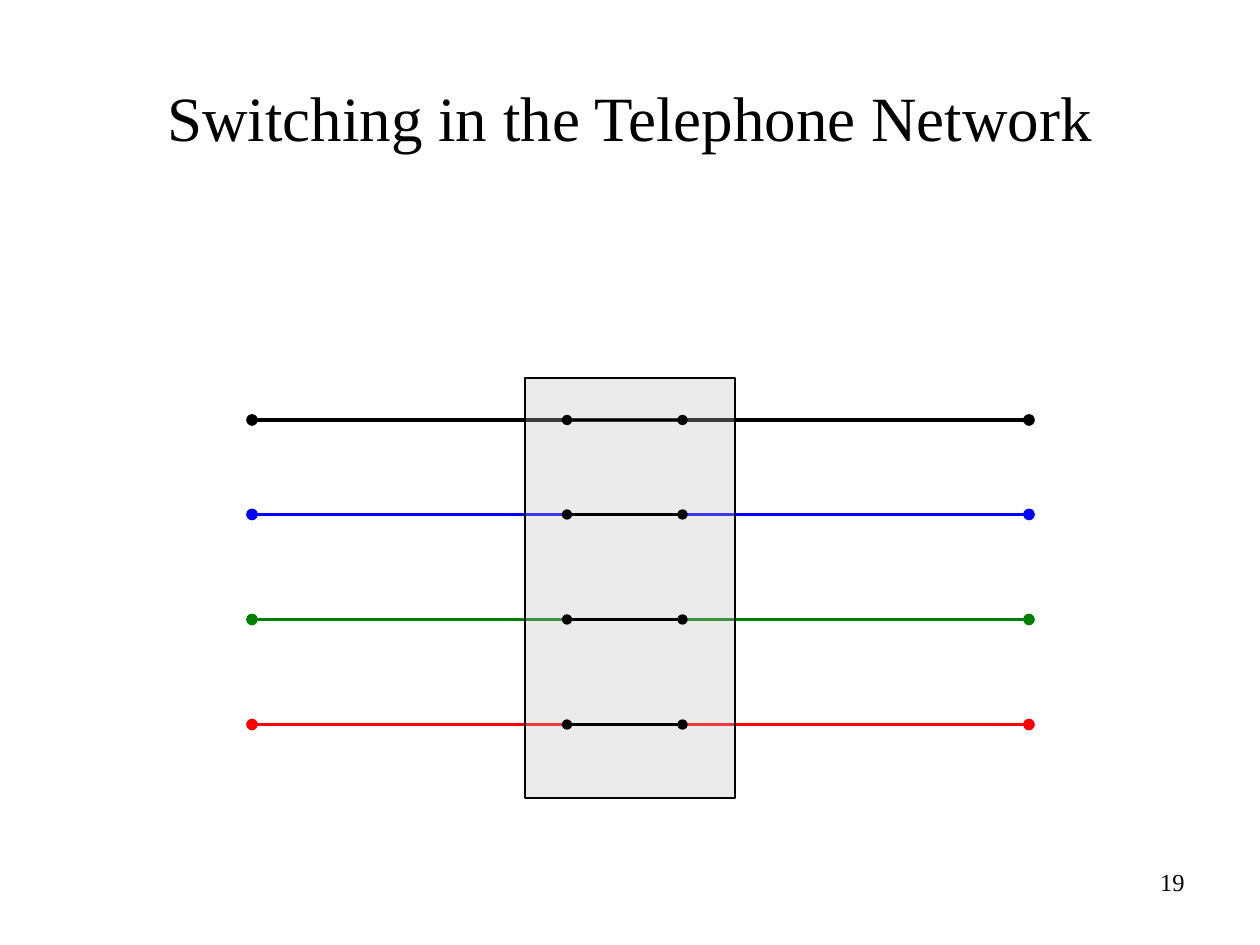
from pptx import Presentation
from pptx.dml.color import RGBColor
from pptx.enum.shapes import MSO_CONNECTOR as Link, MSO_SHAPE as Form
from pptx.enum.text import MSO_ANCHOR as Anchor, PP_ALIGN as Align
from pptx.oxml.ns import qn
from pptx.util import Inches, Pt
from lxml.etree import SubElement as Sub

BLACK = RGBColor(0x00, 0x00, 0x00)
BLUE = RGBColor(0x00, 0x00, 0xFF)
GREEN = RGBColor(0x00, 0x80, 0x00)
RED = RGBColor(0xFF, 0x00, 0x00)
GRAY = RGBColor(0xC0, 0xC0, 0xC0)


class Deck:
    font = "Times New Roman"
    cols, rows = 120, 90

    def __init__(self):
        self.prs = Presentation()
        self.prs.slide_width = Inches(10)
        self.prs.slide_height = Inches(7.5)
        self.slide = self.prs.slides.add_slide(self.prs.slide_layouts[6])

    def x(self, col):
        return round(self.prs.slide_width * col / self.cols)

    def y(self, row):
        return round(self.prs.slide_height * row / self.rows)

    def area(self, col, row, wide, high):
        return self.x(col), self.y(row), self.x(wide), self.y(high)

    def text(self, words, area, size, align, anchor=Anchor.TOP):
        frame = self.slide.shapes.add_textbox(*self.area(*area)).text_frame
        frame.word_wrap = True
        frame.vertical_anchor = anchor
        frame.text = words
        par = frame.paragraphs[0]
        par.alignment = align
        font = par.runs[0].font
        font.name = self.font
        font.size = Pt(size)
        font.color.rgb = BLACK

    def wire(self, start, end, row, color, width):
        wire = self.slide.shapes.add_connector(
            Link.STRAIGHT, self.x(start), self.y(row), self.x(end), self.y(row))
        wire.line.color.rgb = color
        wire.line.width = Pt(width)
        line = wire.line._get_or_add_ln()
        for tip in ("a:headEnd", "a:tailEnd"):
            Sub(line, qn(tip), type="oval")
        Sub(wire._element.spPr, qn("a:effectLst"))

    def box(self, area, color, alpha):
        box = self.slide.shapes.add_shape(Form.RECTANGLE, *self.area(*area))
        box.shadow.inherit = False
        box.fill.solid()
        box.fill.fore_color.rgb = color
        tint = box._element.spPr.find(qn("a:solidFill"))[0]
        Sub(tint, qn("a:alpha"), val=str(alpha * 1000))
        box.line.color.rgb = BLACK
        box.line.width = Pt(1.5)

    def save(self):
        self.prs.save("out.pptx")


def main():
    deck = Deck()
    deck.text("Switching in the Telephone Network", (6, 3.6, 108, 15), 36,
              Align.CENTER, Anchor.MIDDLE)
    deck.text("19", (86, 82, 28, 6.25), 14, Align.RIGHT)
    trunks = {40: BLACK, 49: BLUE, 59: GREEN, 69: RED}
    for row, color in trunks.items():
        deck.wire(24, 98, row, color, 2.25)
    deck.box((50, 36, 20, 40), GRAY, 31)
    for row in trunks:
        deck.wire(54, 65, row, BLACK, 1.5)
    deck.save()


if __name__ == "__main__":
    main()
